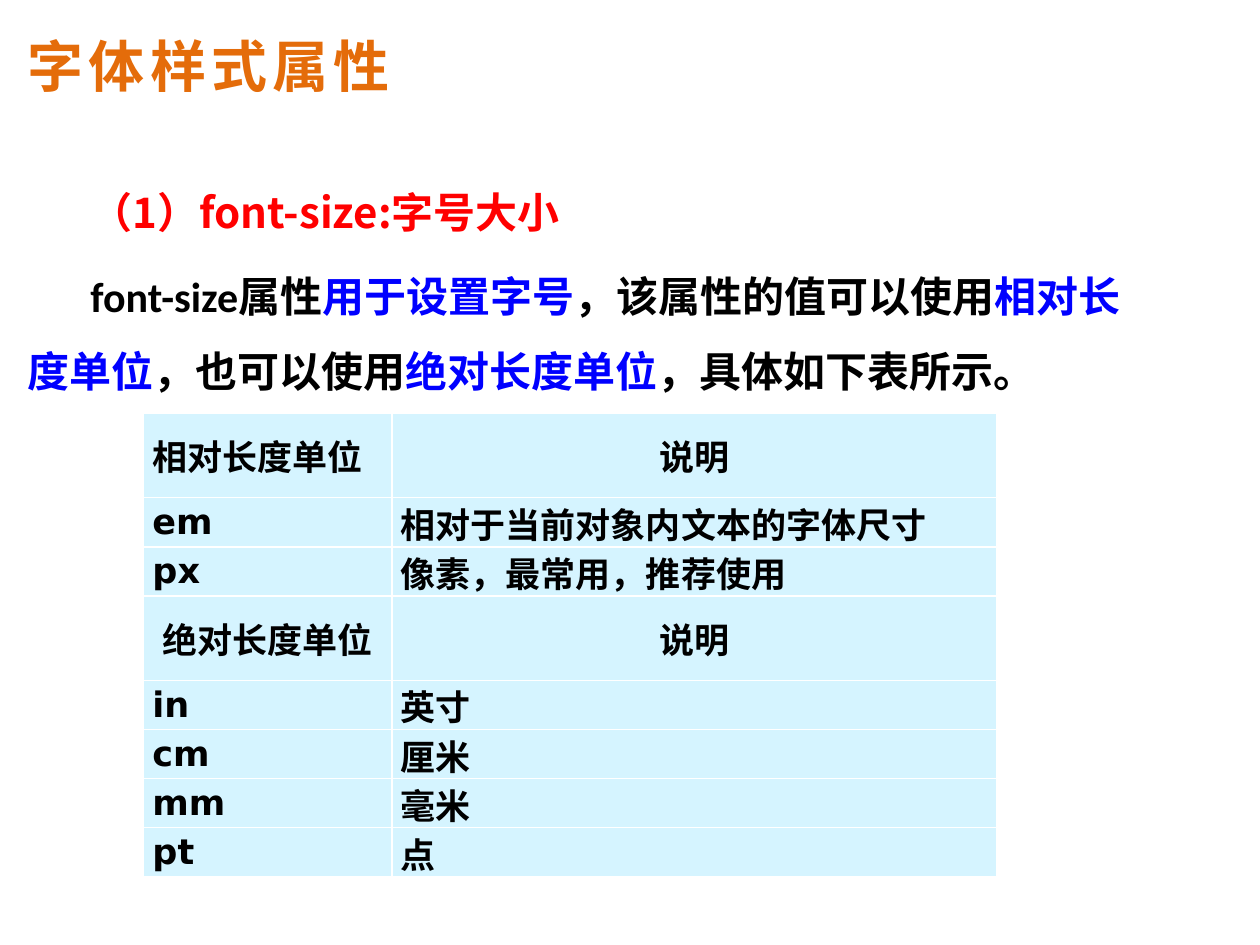
from dataclasses import dataclass

from lxml import etree
from pptx import Presentation
from pptx import util as u
from pptx.dml.color import RGBColor
from pptx.enum import text
from pptx.oxml import ns

PX = 9144  # EMU per px, 100 px to the inch


@dataclass(frozen=True)
class Theme:
    title: str = "E46C0A"
    heading: str = "FF0000"
    accent: str = "0000FF"
    ink: str = "000000"
    cell: str = "D5F4FF"
    border: str = "FFFFFF"
    cjk: str = "Noto Sans CJK SC"
    latin: str = "Calibri"
    table_font: str = "DejaVu Sans"
    title_size: int = 32
    body_size: int = 24
    table_size: int = 20


THEME = Theme()


def px(n):
    return u.Emu(n * PX)


def style_run(r, size, color, latin):
    r.font.size = u.Pt(size)
    r.font.bold = True
    r.font.name = latin
    r.font.color.rgb = RGBColor.from_string(color)
    rPr = r._r.get_or_add_rPr()
    etree.SubElement(rPr, ns.qn("a:ea"), typeface=THEME.cjk)


def add_text_box(s, box):
    tf = s.shapes.add_textbox(*map(px, box)).text_frame
    tf.word_wrap = True
    return tf


def add_title(s, box, title):
    tf = add_text_box(s, box)
    tf.vertical_anchor = text.MSO_ANCHOR.MIDDLE
    tf.text = title
    r = tf.paragraphs[0].runs[0]
    style_run(r, THEME.title_size, THEME.title, THEME.cjk)
    r._r.get_or_add_rPr().set("spc", "300")


def add_body(s, box, paragraphs):
    """Each paragraph is a list of (text, colour, latin font)."""
    tf = add_text_box(s, box)
    for i, parts in enumerate(paragraphs):
        p = tf.add_paragraph() if i else tf.paragraphs[0]
        p.line_spacing = 1.5
        p.space_before = u.Pt(THEME.body_size * 0.2)
        pPr = p._p.get_or_add_pPr()
        pPr.set("marL", "0")
        pPr.set("indent", str(px(50)))
        for words, color, latin in parts:
            r = p.add_run()
            r.text = words
            style_run(r, THEME.body_size, color, latin)


def set_borders(cell):
    tcPr = cell._tc.get_or_add_tcPr()
    for side in ("lnL", "lnR", "lnT", "lnB"):
        ln = etree.SubElement(tcPr, ns.qn("a:" + side), w=str(u.Pt(1)))
        fill = etree.SubElement(ln, ns.qn("a:solidFill"))
        etree.SubElement(fill, ns.qn("a:srgbClr"), val=THEME.border)


def add_unit_table(s, box, col_widths, rows, header_h, row_h):
    """Each row is (unit, description, centred columns); header rows centre some."""
    table = s.shapes.add_table(len(rows), len(col_widths), *map(px, box)).table
    table.first_row = table.horz_banding = False
    for col, width in zip(table.columns, col_widths):
        col.width = px(width)
    for row, (*words, centred) in zip(table.rows, rows):
        row.height = px(header_h if centred else row_h)
        for c, (cell, word) in enumerate(zip(row.cells, words)):
            set_borders(cell)
            cell.fill.solid()
            cell.fill.fore_color.rgb = RGBColor.from_string(THEME.cell)
            cell.vertical_anchor = text.MSO_ANCHOR.MIDDLE
            cell.margin_left = cell.margin_right = px(7)
            cell.margin_top = cell.margin_bottom = 0
            cell.text = word
            p = cell.text_frame.paragraphs[0]
            if c in centred:
                p.alignment = text.PP_ALIGN.CENTER
            style_run(p.runs[0], THEME.table_size, THEME.ink, THEME.table_font)


def main():
    prs = Presentation()
    prs.slide_width, prs.slide_height = px(1000), px(750)
    s = prs.slides.add_slide(prs.slide_layouts[6])

    # Heading and explanation
    ink, accent, latin = THEME.ink, THEME.accent, THEME.latin
    add_body(s, (12, 123, 900, 228), [
        [("（1）font-size:字号大小", THEME.heading, THEME.cjk)],
        [("font-size属性", ink, latin),
         ("用于设置字号", accent, latin),
         ("，该属性的值可以使用", ink, latin),
         ("相对长度单位", accent, latin),
         ("，也可以使用", ink, latin),
         ("绝对长度单位", accent, latin),
         ("，具体如下表所示。", ink, latin)],
    ])

    # Relative and absolute units
    add_unit_table(s, (114, 328, 677, 368), (197, 480), [
        ("相对长度单位", "说明", (1,)),
        ("em", "相对于当前对象内文本的字体尺寸", ()),
        ("px", "像素，最常用，推荐使用", ()),
        ("绝对长度单位", "说明", (0, 1)),
        ("in", "英寸", ()),
        ("cm", "厘米", ()),
        ("mm", "毫米", ()),
        ("pt", "点", ()),
    ], header_h=67, row_h=39)

    # Slide title
    add_title(s, (12, 12, 849, 79), "字体样式属性")

    prs.save("out.pptx")


if __name__ == "__main__":
    main()
